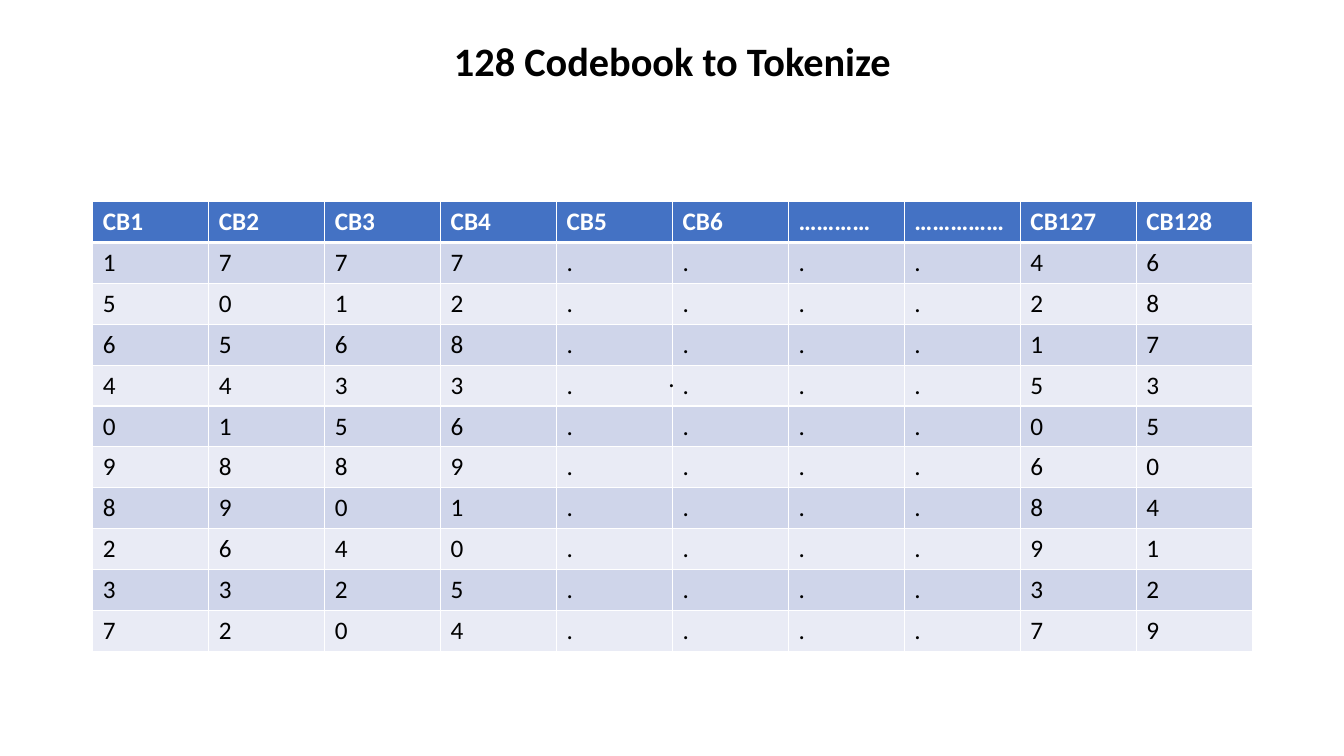
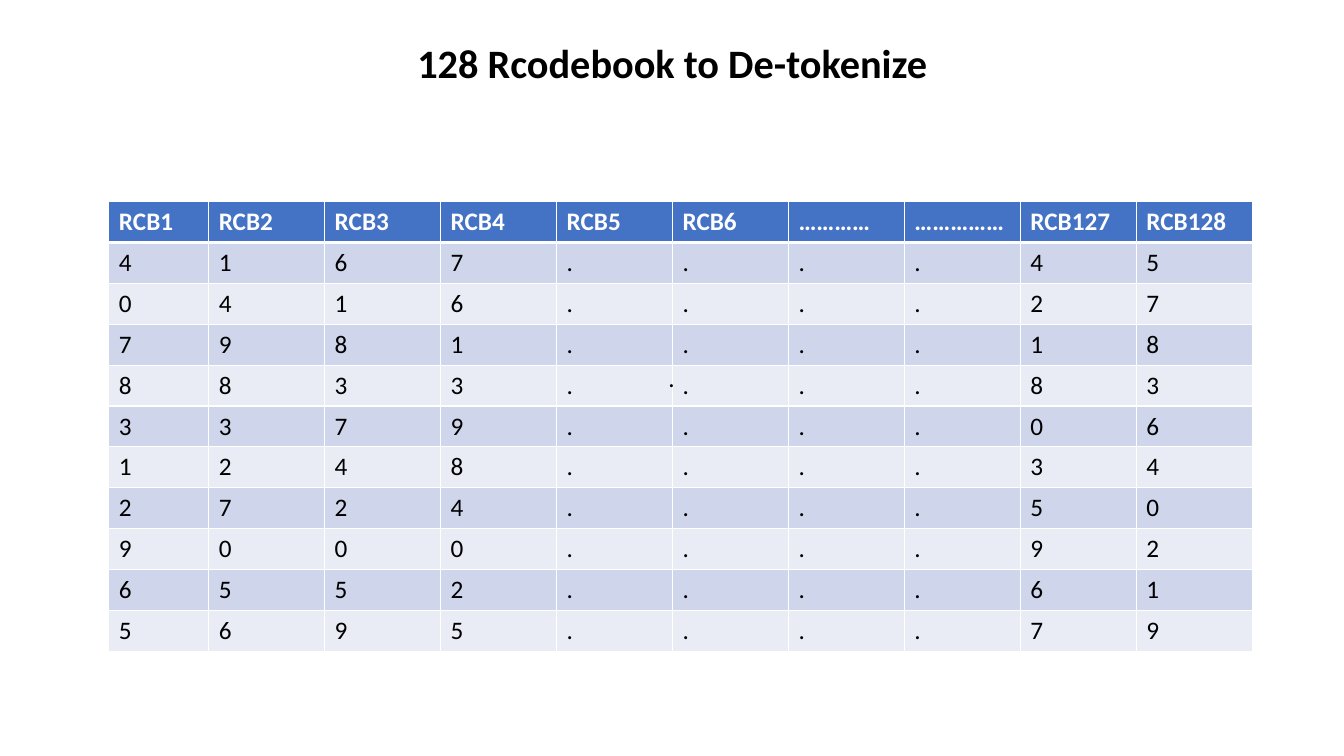
"""Build two codebook slides, one to tokenize and one to de-tokenize."""
from lxml.etree import SubElement
from pptx import Presentation
from pptx.dml.color import RGBColor
from pptx.enum.text import MSO_ANCHOR, MSO_AUTO_SIZE, PP_ALIGN
from pptx.oxml.ns import qn
from pptx.util import Inches, Pt

WHITE, BLACK, HEADER = "FFFFFF", "000000", "4472C4"
BANDS = ["E9EBF5", "CFD5EA"]
COLUMN_WIDTH = 1.15
RIGHT_EDGE = 12.42
LABELS = ["1", "2", "3", "4", "5", "6", "…" * 4, "…" * 5, "127", "128"]

CODEBOOKS = [
    {"title": "128 Codebook to Tokenize", "title_height": 0.46,
     "prefix": "CB", "first_width": 1.15,
     "rows": ["1777....46", "5012....28", "6568....17", "4433....53",
              "0156....05", "9889....60", "8901....84", "2640....91",
              "3325....32", "7204....79"]},
    {"title": "128 Rcodebook to De-tokenize", "title_height": 0.49,
     "prefix": "RCB", "first_width": 0.99,
     "rows": ["4167....45", "0416....27", "7981....18", "8833....83",
              "3379....06", "1248....34", "2724....50", "9000....92",
              "6552....61", "5695....79"]},
]


def color(value):
    return RGBColor.from_string(value)


def write(frame, text, size, ink, bold=False):
    paragraph = frame.paragraphs[0]
    run = paragraph.add_run()
    run.text = text
    for attribute, value in {"name": "Calibri", "size": Pt(size), "bold": bold}.items():
        setattr(run.font, attribute, value)
    run.font.color.rgb = color(ink)
    return paragraph


deck = Presentation()
deck.slide_width, deck.slide_height = Inches(13.33), Inches(7.5)

for book in CODEBOOKS:
    slide = deck.slides.add_slide(deck.slide_layouts[5])

    title = slide.shapes.title
    place = {"left": 0.92, "top": 0.4, "width": 11.5, "height": book["title_height"]}
    for side, length in place.items():
        setattr(title, side, Inches(length))
    title.text_frame.auto_size = MSO_AUTO_SIZE.NONE
    title.text_frame.vertical_anchor = MSO_ANCHOR.MIDDLE
    heading = write(title.text_frame, book["title"], 28.8, BLACK, True)
    heading.alignment = PP_ALIGN.CENTER
    heading.line_spacing = 0.9

    labels = [book["prefix"] + label if label.isdigit() else label for label in LABELS]
    grid = [labels, *book["rows"]]
    widths = [book["first_width"]] + [COLUMN_WIDTH] * (len(labels) - 1)
    codes = slide.shapes.add_table(
        len(grid), len(labels), Inches(RIGHT_EDGE - sum(widths)), Inches(2),
        Inches(sum(widths)), Inches(4.46)).table
    for column, width in zip(codes.columns, widths):
        column.width = Inches(width)

    for row, entries in enumerate(grid):
        is_header = row == 0
        edges = {"lnL": 1, "lnR": 1, "lnT": 3 if row == 1 else 1, "lnB": 3 if is_header else 1}
        for column, entry in enumerate(entries):
            cell = codes.cell(row, column)
            properties = cell._tc.get_or_add_tcPr()
            for edge, weight in edges.items():
                border = SubElement(properties, qn("a:" + edge), w=str(Pt(weight)))
                paint = SubElement(border, qn("a:solidFill"))
                SubElement(paint, qn("a:srgbClr"), val=WHITE)
            cell.fill.solid()
            cell.fill.fore_color.rgb = color(HEADER if is_header else BANDS[row % 2])
            write(cell.text_frame, entry, 18, WHITE if is_header else BLACK, is_header)

    dot = slide.shapes.add_textbox(Inches(6.53), Inches(3.55), Inches(0.27), Inches(0.4))
    dot.text_frame.word_wrap = False
    dot.text_frame.auto_size = MSO_AUTO_SIZE.SHAPE_TO_FIT_TEXT
    write(dot.text_frame, ".", 18, BLACK)

deck.save("out.pptx")
